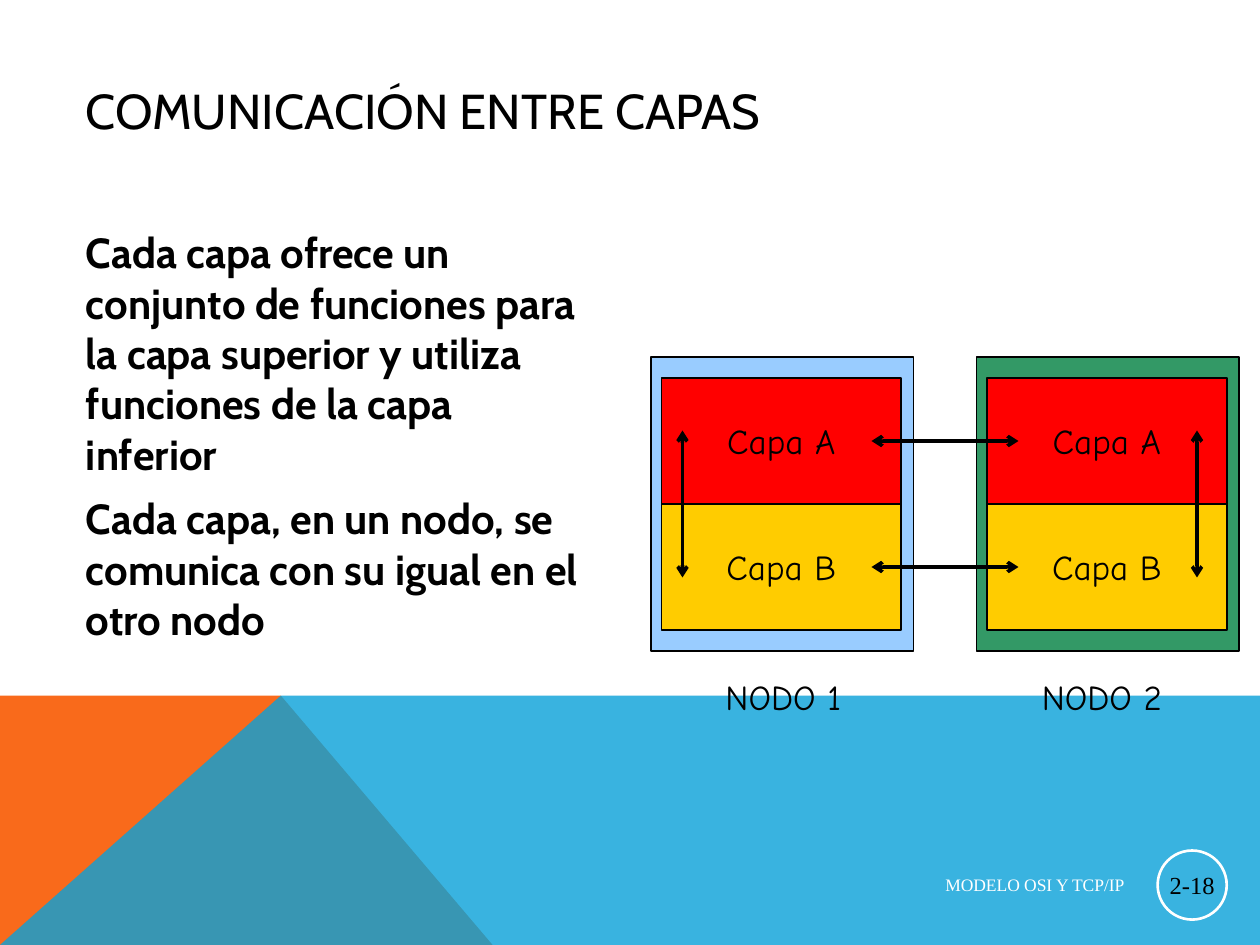
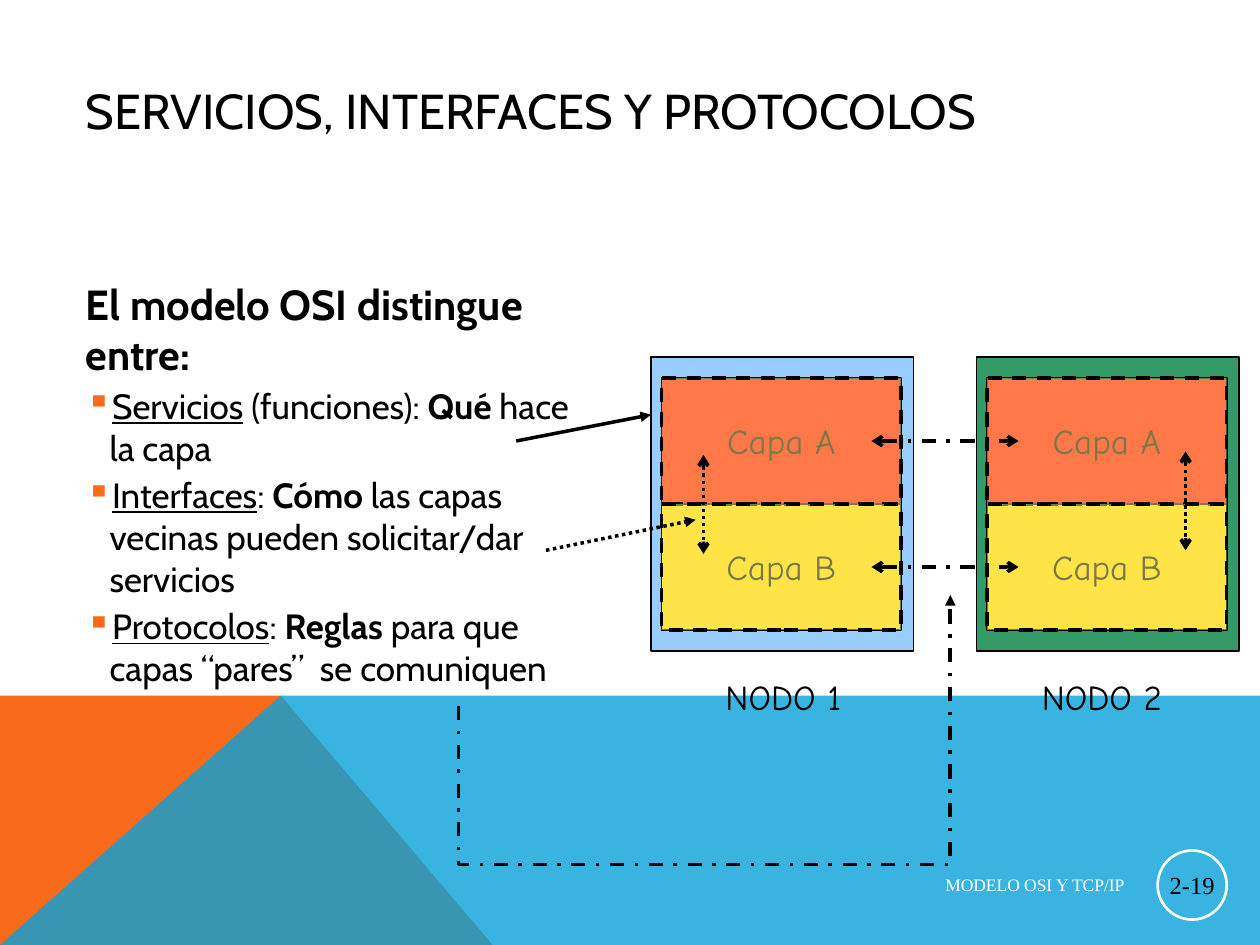
from lxml.etree import SubElement
from pptx import Presentation
from pptx.dml.color import RGBColor
from pptx.enum.dml import MSO_LINE as Dash
from pptx.enum.shapes import MSO_CONNECTOR as Connector, MSO_SHAPE as Shape
from pptx.enum.text import MSO_ANCHOR as Anchor, MSO_AUTO_SIZE as AutoSize, PP_ALIGN as Align
from pptx.oxml.ns import qn
from pptx.util import Pt

# Content: each span is (text, style letters), b = bold, u = underlined
FOOTER = "MODELO OSI Y TCP/IP"
LAYERS_PAGE = {
    "title": "COMUNICACIÓN ENTRE CAPAS",
    "number": "2-18",
    "body_top": 126,
    "body": [
        ("lead", [("Cada capa ofrece un conjunto de funciones para la capa superior "
                   "y utiliza funciones de la capa inferior", "b")]),
        ("lead", [("Cada capa, en un nodo, se comunica con su igual en el otro nodo", "b")]),
    ],
}
SERVICES_PAGE = {
    "title": "SERVICIOS, INTERFACES Y PROTOCOLOS",
    "number": "2-19",
    "body_top": 155.5,
    "body": [
        ("lead", [("El modelo OSI distingue entre:", "b")]),
        ("item", [("Servicios", "u"), (" (funciones): ", ""), ("Qué ", "b"), ("hace la capa", "")]),
        ("item", [("Interfaces", "u"), (": ", ""), ("Cómo", "b"),
                  (" las capas vecinas pueden solicitar/dar servicios", "")]),
        ("item", [("Protocolos", "u"), (": ", ""), ("Reglas", "b"),
                  (" para que capas “pares”  se comuniquen", "")]),
    ],
}
LAYERS = [("Capa A", "FF0000"), ("Capa B", "FFCC00")]
# Node name, frame colour, label left, label width
NODES = [("NODO 1", "99CCFF", 407.5, 81), ("NODO 2", "339966", 588.25, 83)]

# Shared look
BLACK, WHITE, ORANGE, BLUE, VEIL = "000000", "FFFFFF", "F96A1B", "08A1D9", "FFFF99"
MAIN_FONT, NODE_FONT, FOOTER_FONT = "Cabin", "Comic Neue", "Times New Roman"
BODY_SIZE = {"lead": 24, "item": 20}
SPACE_BEFORE = {"lead": 8, "item": 3}
BULLET_INDENT = 13.5
PAGE_W, PAGE_H, BAND_TOP = 720, 540, 397.5

# Diagram grid
NODE_LEFT, NODE_TOP, NODE_W, NODE_H, NODE_STEP = 372, 204, 150, 168, 186
LAYER_LEFT, LAYER_TOP, LAYER_W, LAYER_H = 378, 216, 137, 72
PEER_FROM, PEER_TO = 498, 582


def color(hex_text):
    return RGBColor.from_string(hex_text)


def paint(shape, fill=None, line=None, weight=1, dash=None, alpha=None):
    shape.shadow.inherit = False
    if fill:
        shape.fill.solid()
        shape.fill.fore_color.rgb = color(fill)
        if alpha:
            tint = shape.element.spPr.find(qn("a:solidFill")).find(qn("a:srgbClr"))
            SubElement(tint, qn("a:alpha")).set("val", str(alpha * 1000))
    else:
        shape.fill.background()
    if line:
        stroke(shape, line, weight, dash)
    else:
        shape.line.fill.background()


def stroke(shape, line, weight, dash=None, head=None, tail=None):
    shape.line.color.rgb = color(line)
    shape.line.width = Pt(weight)
    if dash:
        shape.line.dash_style = dash
    outline = shape.element.spPr.find(qn("a:ln"))
    for tag, kind in (("a:headEnd", head), ("a:tailEnd", tail)):
        if kind:
            SubElement(outline, qn(tag)).set("type", kind)


def add_span(para, text, font, size, ink=BLACK, style=""):
    span = para.add_run()
    span.text = text
    span.font.name, span.font.size = font, Pt(size)
    span.font.color.rgb = color(ink)
    span.font.bold = "b" in style
    span.font.underline = "u" in style


def set_frame(shape, anchor=Anchor.TOP, wrap=True, margins=(7.2, 3.6)):
    frame = shape.text_frame
    frame.word_wrap, frame.vertical_anchor = wrap, anchor
    frame.margin_left = frame.margin_right = Pt(margins[0])
    frame.margin_top = frame.margin_bottom = Pt(margins[1])
    return frame


def add_box(page, left, top, width, height, **options):
    box = page.shapes.add_textbox(Pt(left), Pt(top), Pt(width), Pt(height))
    return set_frame(box, **options)


def add_preset(page, kind, left, top, width, height, **look):
    shape = page.shapes.add_shape(kind, Pt(left), Pt(top), Pt(width), Pt(height))
    paint(shape, **look)
    return shape


def add_outline(page, points, close):
    start, *rest = [(Pt(x), Pt(y)) for x, y in points]
    builder = page.shapes.build_freeform(*start, scale=1.0)
    builder.add_line_segments(rest, close=close)
    return builder.convert_to_shape()


def add_arrow(page, start, end, dash=None, head=None, tail="triangle"):
    arrow = page.shapes.add_connector(
        Connector.STRAIGHT, *[Pt(value) for value in (*start, *end)])
    stroke(arrow, BLACK, 2, dash, head, tail)
    SubElement(arrow.element.spPr, qn("a:effectLst"))


def add_double_arrow(page, start, end, dash=None):
    add_arrow(page, start, end, dash, head="arrow", tail="arrow")


def layer_grid():
    for column in range(len(NODES)):
        for row, (name, fill) in enumerate(LAYERS):
            place = (LAYER_LEFT + column * NODE_STEP, LAYER_TOP + row * LAYER_H, LAYER_W, LAYER_H)
            yield place, name, fill


def add_body(page, top, paragraphs):
    frame = add_box(page, 42, top, 300, 366)
    for index, (kind, spans) in enumerate(paragraphs):
        para = frame.add_paragraph() if index else frame.paragraphs[0]
        if kind == "item":
            props = para._p.get_or_add_pPr()
            props.set("marL", str(Pt(BULLET_INDENT)))
            props.set("indent", str(-Pt(BULLET_INDENT)))
            SubElement(SubElement(props, qn("a:buClr")), qn("a:srgbClr")).set("val", ORANGE)
            SubElement(props, qn("a:buChar")).set("char", "▪")
        if index:
            para.space_before = Pt(SPACE_BEFORE[kind])
        for text, style in spans:
            add_span(para, text, MAIN_FONT, BODY_SIZE[kind], style=style)


def add_page(deck, content):
    page = deck.slides.add_slide(deck.slide_layouts[6])
    # Bottom bands
    peak = (160.5, BAND_TOP)
    orange = add_outline(page, [(0, PAGE_H), (0, BAND_TOP), peak, (281.5, PAGE_H)], True)
    paint(orange, ORANGE)
    blue = add_outline(page, [(0, PAGE_H), peak, (PAGE_W, BAND_TOP), (PAGE_W, PAGE_H)], True)
    paint(blue, BLUE, alpha=80)
    # Title and body
    title = add_box(page, 42, 18, 612, 90, anchor=Anchor.MIDDLE)
    add_span(title.paragraphs[0], content["title"], MAIN_FONT, 28)
    add_body(page, content["body_top"], content["body"])
    # Footer and page number
    footer = add_box(page, 277, 494.5, 372.5, 22, anchor=Anchor.MIDDLE).paragraphs[0]
    footer.alignment = Align.RIGHT
    add_span(footer, FOOTER, FOOTER_FONT, 10, WHITE)
    badge = add_preset(page, Shape.OVAL, 661.5, 486, 39.5, 39.5, line=WHITE, weight=1.5)
    number = set_frame(badge, Anchor.MIDDLE, margins=(0.7, 0.7)).paragraphs[0]
    number.alignment = Align.CENTER
    add_span(number, content["number"], FOOTER_FONT, 14)
    add_nodes(page)
    return page


def add_nodes(page):
    for column, (name, fill, label_left, label_width) in enumerate(NODES):
        add_preset(page, Shape.RECTANGLE, NODE_LEFT + column * NODE_STEP, NODE_TOP,
                   NODE_W, NODE_H, fill=fill, line=BLACK)
        label = add_box(page, label_left, 382.5, label_width, 31.5, wrap=False)
        label.auto_size = AutoSize.SHAPE_TO_FIT_TEXT
        add_span(label.paragraphs[0], name, NODE_FONT, 20)
    for place, name, fill in layer_grid():
        layer = add_preset(page, Shape.RECTANGLE, *place, fill=fill, line=BLACK)
        para = set_frame(layer, Anchor.MIDDLE, wrap=False).paragraphs[0]
        para.alignment = Align.CENTER
        add_span(para, name, NODE_FONT, 20)


def add_peer_arrows(page, dash=None):
    for row in range(len(LAYERS)):
        y = LAYER_TOP + (row + 0.5) * LAYER_H
        add_double_arrow(page, (PEER_FROM, y), (PEER_TO, y), dash)


def main():
    deck = Presentation()
    deck.slide_width, deck.slide_height = Pt(PAGE_W), Pt(PAGE_H)

    # Communication between layers
    page = add_page(deck, LAYERS_PAGE)
    add_peer_arrows(page)
    for x in (390, 684):
        add_double_arrow(page, (x, 246), (x, 330))

    # Services, interfaces and protocols
    page = add_page(deck, SERVICES_PAGE)
    for place, _, _ in layer_grid():
        add_preset(page, Shape.RECTANGLE, *place, fill=VEIL, alpha=47,
                   line=BLACK, weight=2, dash=Dash.DASH)
    add_peer_arrows(page, Dash.DASH_DOT)
    for x, top in ((402, 260), (677.5, 258)):
        add_double_arrow(page, (x, top), (x, top + 56.5), Dash.ROUND_DOT)
    # Pointers from each term to the diagram
    add_arrow(page, (295, 252), (372, 237))
    add_arrow(page, (312, 314.5), (397.5, 297), Dash.ROUND_DOT)
    protocol_path = add_outline(page, [(262, 403.5), (262, 494), (543, 494), (543, 340)], False)
    paint(protocol_path)
    stroke(protocol_path, BLACK, 2, Dash.DASH_DOT, tail="triangle")

    deck.save("out.pptx")


if __name__ == "__main__":
    main()
